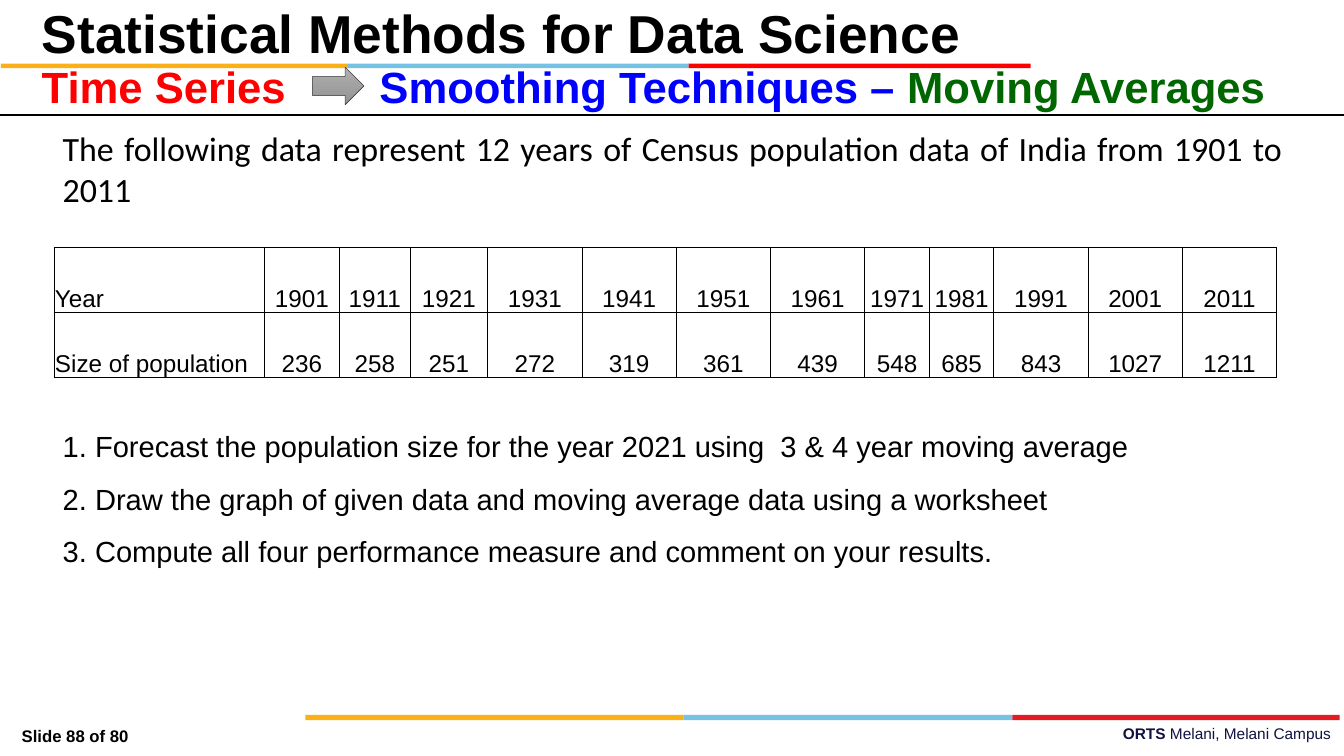
import pptx
import pptx.util
import pptx.dml.color
import pptx.enum.shapes
import pptx.enum.text
import pptx.oxml
import pptx.oxml.ns

PX = 9144
COLOURS = {
    "black": "000000", "orange": "FCB017", "sky": "76C2E5", "red": "FF0000",
    "crimson": "E31C24", "blue": "0000FF", "green": "006600", "navy": "101141",
    "outline": "404040", "arrow top": "AFAFAF", "arrow foot": "939393",
}
ALIGN = pptx.enum.text.PP_ALIGN
ANCHOR = pptx.enum.text.MSO_ANCHOR
SHAPE = pptx.enum.shapes.MSO_SHAPE

YEARS = range(1901, 2012, 10)
POPULATION = [236, 258, 251, 272, 319, 361, 439, 548, 685, 843, 1027, 1211]
COLUMN_WIDTHS = [241, 86, 81, 89] + [108] * 4 + [74] * 2 + [108] * 3
QUESTIONS = [
    "1. Forecast the population size for the year 2021 using  3 & 4 year moving average",
    "2. Draw the graph of given data and moving average data using a worksheet",
    "3. Compute all four performance measure and comment on your results.",
]


def emu(*lengths):
    """Turn px lengths into EMU."""
    return [pptx.util.Emu(length * PX) for length in lengths]


def rgb(name):
    """Look up a named colour."""
    return pptx.dml.color.RGBColor.from_string(COLOURS[name])


def write(para, text, size=24, font="Arial", colour="black", bold=False,
          align=ALIGN.LEFT, spacing=None):
    """Add one formatted span of text to a paragraph."""
    para.alignment = align
    if spacing:
        para.line_spacing = spacing
    span = para.add_run()
    span.text = text
    span.font.size = pptx.util.Pt(size)
    span.font.name = font
    span.font.bold = bold
    span.font.color.rgb = rgb(colour)


def add_text_box(page, box):
    """Add a wrapping text box and return its text frame."""
    frame = page.shapes.add_textbox(*emu(*box)).text_frame
    frame.word_wrap = True
    return frame


def add_stripe(page, box, widths, colours):
    """Lay coloured bars end to end from the left of the box."""
    left, top, _, height = box
    for width, colour in zip(widths, colours):
        bar = page.shapes.add_shape(SHAPE.RECTANGLE, *emu(left, top, width, height))
        bar.shadow.inherit = False
        bar.fill.solid()
        bar.fill.fore_color.rgb = rgb(colour)
        bar.line.fill.background()
        left += width


def add_title(page, box):
    """Place and format the title placeholder."""
    title = page.shapes.title
    title.left, title.top, title.width, title.height = emu(*box)
    frame = title.text_frame
    frame.auto_size = pptx.enum.text.MSO_AUTO_SIZE.NONE
    frame.vertical_anchor = ANCHOR.TOP
    frame.margin_top, frame.margin_bottom = emu(9, 0)
    write(frame.paragraphs[0], "Statistical Methods for Data Science",
          size=44, bold=True, spacing=0.9)


def add_topic(page, box):
    """Add the topic line with its arrow and the rule below it."""
    left, top, width, height = box
    topic = add_text_box(page, (left, top, 328, height))
    write(topic.paragraphs[0], "Time Series", size=36, colour="red", bold=True)
    detail = add_text_box(page, (left + 387, top, width - 387, height))
    write(detail.paragraphs[0], "Smoothing Techniques – ", size=36, colour="blue", bold=True)
    write(detail.paragraphs[0], "Moving Averages", size=36, colour="green", bold=True)

    arrow = page.shapes.add_shape(SHAPE.RIGHT_ARROW, *emu(left + 320, top + 13, 59, 43))
    arrow.shadow.inherit = False
    arrow.fill.gradient()
    arrow.fill.gradient_angle = 270
    for stop, colour in zip(arrow.fill.gradient_stops, ("arrow top", "arrow foot")):
        stop.color.rgb = rgb(colour)
    arrow.line.color.rgb = rgb("outline")
    arrow.line.width = pptx.util.Pt(0.5)

    rule = page.shapes.add_connector(pptx.enum.shapes.MSO_CONNECTOR.STRAIGHT,
                                     *emu(0, top + 68, 1540, top + 68))
    rule.line.color.rgb = rgb("black")
    rule.line.width = pptx.util.Pt(1.5)
    rule._element.spPr.append(pptx.oxml.parse_xml(
        f'<a:effectLst {pptx.oxml.ns.nsdecls("a")}/>'))


def add_borders(cell):
    """Draw a thin black line on every side of a cell."""
    for side in "LRTB":
        cell._tc.get_or_add_tcPr().append(pptx.oxml.parse_xml(
            f'<a:ln{side} {pptx.oxml.ns.nsdecls("a")} w="12700"><a:solidFill>'
            f'<a:srgbClr val="{COLOURS["black"]}"/></a:solidFill></a:ln{side}>'))


def add_census_table(page, box):
    """Add the table of census years and population sizes."""
    rows = [["Year", *YEARS], ["Size of population", *POPULATION]]
    table = page.shapes.add_table(len(rows), len(COLUMN_WIDTHS), *emu(*box)).table
    table.first_row = table.horz_banding = False
    for column, width in zip(table.columns, COLUMN_WIDTHS):
        column.width = emu(width)[0]
    for row_index, values in enumerate(rows):
        for column_index, value in enumerate(values):
            cell = table.cell(row_index, column_index)
            add_borders(cell)
            cell.fill.background()
            cell.vertical_anchor = ANCHOR.BOTTOM
            cell.margin_left, cell.margin_right, cell.margin_top, cell.margin_bottom = emu(1, 1, 1, 0)
            write(cell.text_frame.paragraphs[0], str(value), size=20,
                  align=ALIGN.CENTER if column_index else ALIGN.LEFT)


def add_exercise(page, box):
    """Add the introduction, the data and the questions."""
    left, top, width, height = box
    intro = add_text_box(page, (left, top, width + 15, 110))
    write(intro.paragraphs[0], "The following data represent 12 years of "
          "Census population data of India from 1901 to 2011",
          size=28, font="Calibri", align=ALIGN.JUSTIFY)
    add_census_table(page, (left, top + 143, width, 148))
    questions = add_text_box(page, (left, top + 325, width, height - 325))
    for index, question in enumerate(QUESTIONS):
        para = questions.add_paragraph() if index else questions.paragraphs[0]
        write(para, question, spacing=1.5)


def add_footer(page, box):
    """Add the slide count, the campus name and the stripe above them."""
    left, top, width, height = box
    add_stripe(page, (350, top, 1185, 6), (433, 377, 375), ("orange", "sky", "crimson"))
    count = add_text_box(page, (left, top + 7, 253, height - 7))
    write(count.paragraphs[0], "Slide 88 of 80", size=13.8, bold=True)
    campus = add_text_box(page, (left + width - 985, top + 5, 985, height - 7))
    write(campus.paragraphs[0], "ORTS ", size=12.7, colour="navy", bold=True, align=ALIGN.RIGHT)
    write(campus.paragraphs[0], "Melani, Melani Campus", size=12.7, colour="navy", align=ALIGN.RIGHT)


def main():
    """Build the slide and save the deck."""
    deck = pptx.Presentation()
    deck.slide_width, deck.slide_height = emu(1540, 866)
    page = deck.slides.add_slide(deck.slide_layouts[5])
    add_stripe(page, (1, 73, 1180, 5), (398, 390, 392), ("orange", "sky", "red"))
    add_footer(page, (15, 819, 1520, 38))
    add_title(page, (38, 0, 1266, 68))
    add_topic(page, (38, 64, 1467, 66))
    add_exercise(page, (62, 141, 1402, 509))
    deck.save("out.pptx")


if __name__ == "__main__":
    main()
